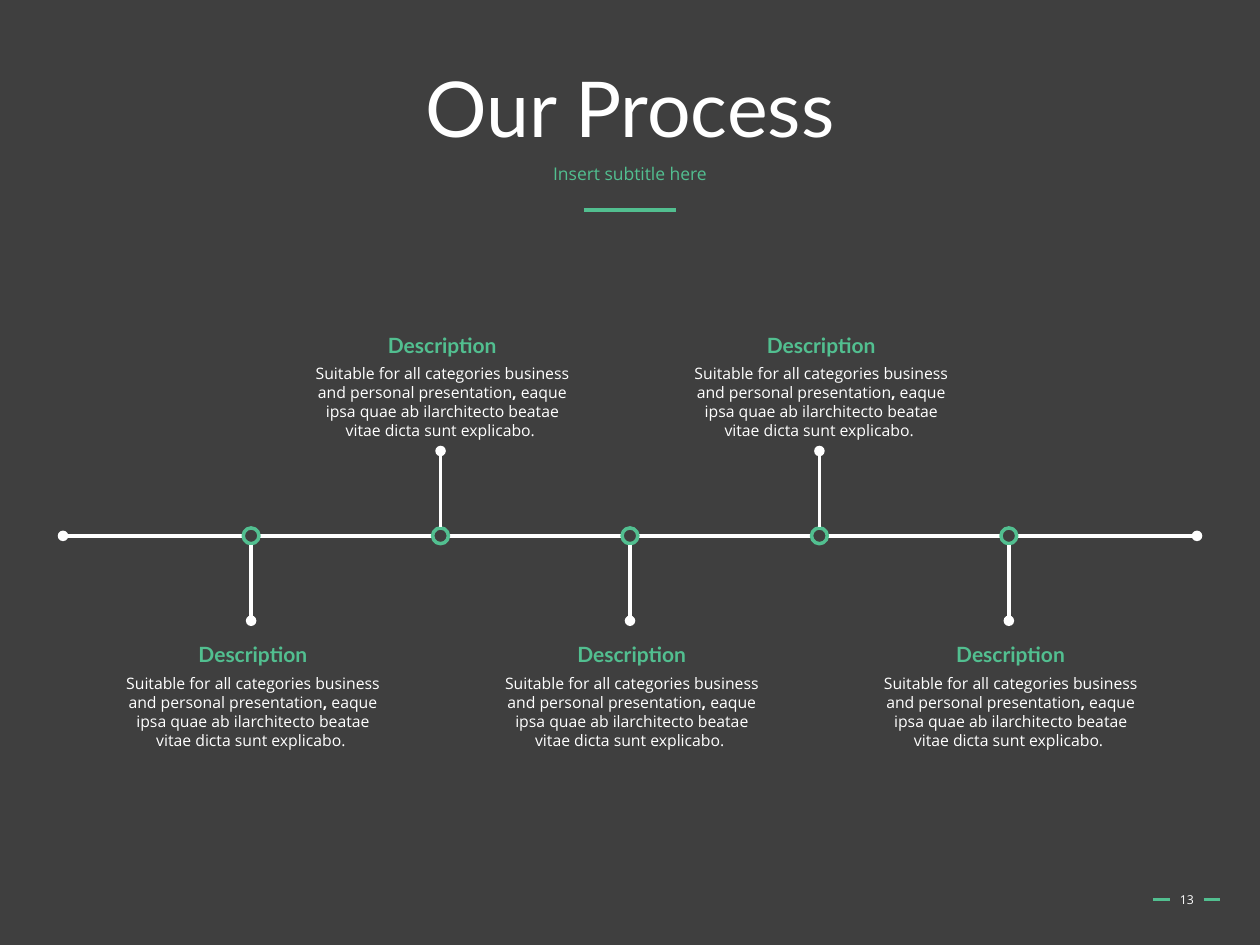
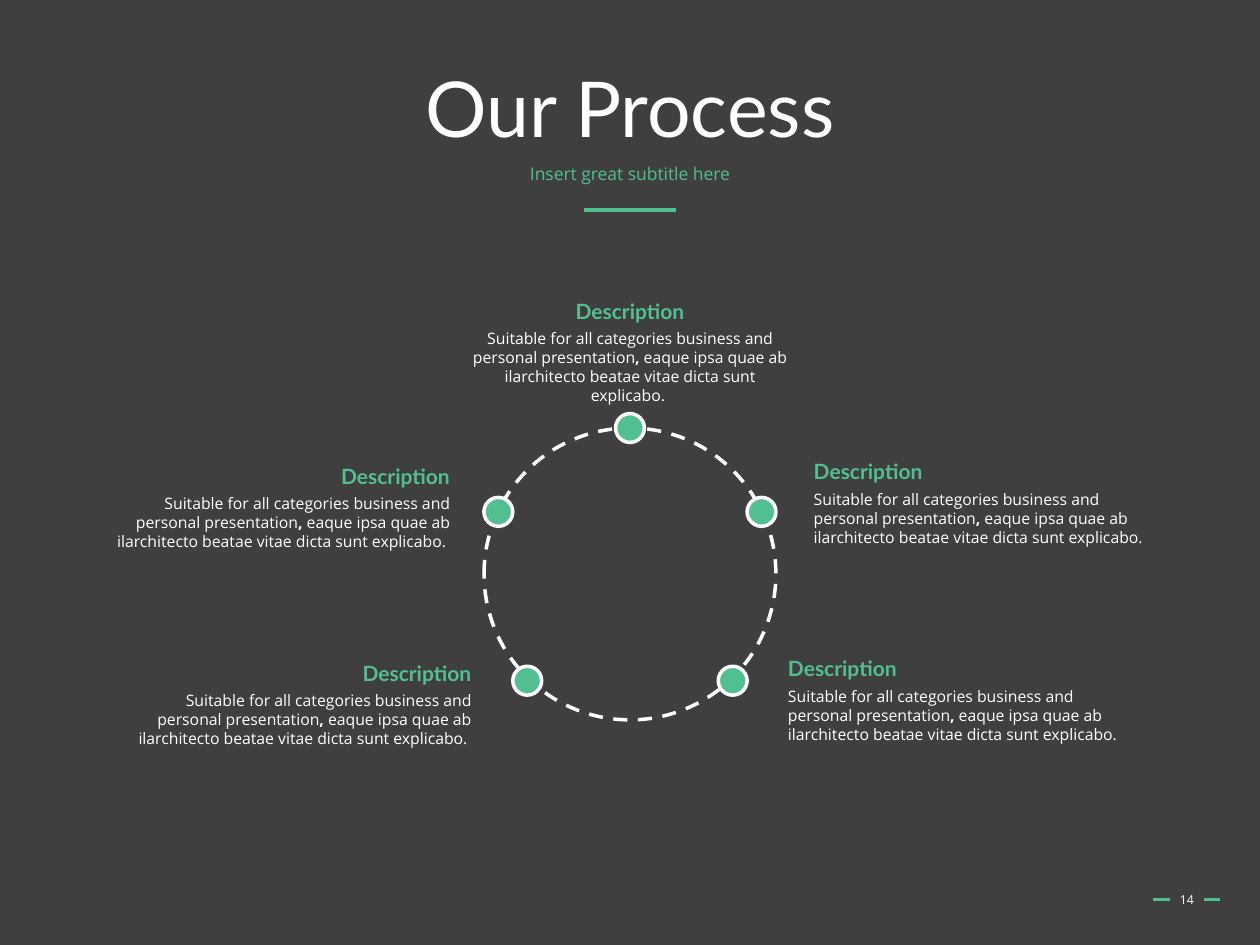
from lxml.etree import SubElement
from pptx import Presentation
from pptx.dml.color import RGBColor
from pptx.enum.dml import MSO_LINE
from pptx.enum.shapes import MSO_CONNECTOR, MSO_SHAPE
from pptx.enum.text import MSO_ANCHOR as Anchor, PP_ALIGN as Align
from pptx.oxml.ns import qn
from pptx.util import Pt

DARK = RGBColor(0x3F, 0x3F, 0x3F)
GREEN = RGBColor(0x52, 0xBF, 0x90)
WHITE = RGBColor(0xFF, 0xFF, 0xFF)
HEADING_FONT = "Lato"
BODY_FONT = "Open Sans"

# Each part of the description with its bold setting
DESCRIPTION = (
    ("Suitable for all categories business and personal presentation", False),
    (",", True),
    (" eaque ipsa quae ab ilarchitecto beatae vitae dicta sunt explicabo. ", False),
)


class Deck:
    """Holds the shared style and the slide being built."""

    def __init__(self):
        self.presentation = Presentation()
        self.presentation.slide_width = Pt(720)
        self.presentation.slide_height = Pt(540)
        self.slide = None

    def new_slide(self, title, subtitle, number):
        self.slide = self.presentation.slides.add_slide(self.presentation.slide_layouts[6])
        fill = self.slide.background.fill
        fill.solid()
        fill.fore_color.rgb = DARK

        # Accent rules under the subtitle and beside the page number
        for start, end, y in ((333.5, 386.5, 120), (658.8, 668.3, 513.8), (687.8, 697.3, 513.8)):
            self.line(start, y, end, y, GREEN, 1.75)

        # Title, subtitle and page number
        self.text(49.5, 28.8, 621, 70.6, [(title, False)], 44, HEADING_FONT, WHITE,
                  anchor=Anchor.MIDDLE, spacing=0.9)
        self.text(49.5, 90.7, 621, 28.8, [(subtitle, False)], 10, BODY_FONT, GREEN, spacing=0.9)
        self.text(662.4, 499.5, 31.7, 28.8, [(number, False)], 7, BODY_FONT, WHITE,
                  anchor=Anchor.MIDDLE)

    def text(self, left, top, width, height, parts, size, font, color,
             align=Align.CENTER, anchor=Anchor.TOP, spacing=None):
        box = self.slide.shapes.add_textbox(Pt(left), Pt(top), Pt(width), Pt(height))
        frame = box.text_frame
        frame.word_wrap = True
        frame.vertical_anchor = anchor
        paragraph = frame.paragraphs[0]
        paragraph.alignment = align
        paragraph.line_spacing = spacing
        for words, bold in parts:
            run = paragraph.add_run()
            run.text = words
            run.font.size = Pt(size)
            run.font.name = font
            run.font.bold = bold
            run.font.color.rgb = color

    def description(self, left, width, heading_top, body_top, lines, align=Align.CENTER):
        self.text(left, body_top, width, 7.2 + 10.8 * lines, DESCRIPTION, 9, BODY_FONT, WHITE,
                  align, spacing=Pt(10.8))
        self.text(left, heading_top, width, 21.6, [("Description", True)], 12, HEADING_FONT,
                  GREEN, align)

    def line(self, x1, y1, x2, y2, color, weight, ovals=()):
        connector = self.slide.shapes.add_connector(
            MSO_CONNECTOR.STRAIGHT, Pt(x1), Pt(y1), Pt(x2), Pt(y2))
        connector.line.color.rgb = color
        connector.line.width = Pt(weight)
        properties = connector.element.spPr
        for end in ovals:
            SubElement(properties.find(qn("a:ln")), qn(f"a:{end}"), type="oval")
        SubElement(properties, qn("a:effectLst"))

    def circle(self, x, y, diameter, outline, fill=None, dashed=False):
        shape = self.slide.shapes.add_shape(
            MSO_SHAPE.OVAL, Pt(x - diameter / 2), Pt(y - diameter / 2), Pt(diameter), Pt(diameter))
        shape.shadow.inherit = False
        if fill is None:
            shape.fill.background()
        else:
            shape.fill.solid()
            shape.fill.fore_color.rgb = fill
        shape.line.color.rgb = outline
        shape.line.width = Pt(2)
        if dashed:
            shape.line.dash_style = MSO_LINE.DASH


def build_timeline(deck):
    deck.new_slide("Our Process", "Insert subtitle here", "13")
    axis_y, step, text_width = 306.2, 108.25, 164
    deck.line(36, axis_y, 684, axis_y, WHITE, 2, ("headEnd", "tailEnd"))

    # Steps alternate below and above the axis
    for index in range(5):
        x = 360 + step * (index - 2)
        below = index % 2 == 0
        side = 1 if below else -1
        deck.circle(x, axis_y, 9, GREEN, DARK)
        deck.line(x, axis_y + 5 * side, x, axis_y + 48.5 * side, WHITE, 2, ("tailEnd",))
        heading_top, body_top = (362.9, 381.6) if below else (186.5, 204.5)
        deck.description(x + 1 - text_width / 2, text_width, heading_top, body_top, 4)


def build_cycle(deck):
    deck.new_slide("Our Process", "Insert great subtitle here", "14")
    center_x, center_y = 360, 328
    deck.circle(center_x, center_y, 166.8, WHITE, dashed=True)

    # Stops on the ring, mirrored left and right
    for dx, dy in ((0, -83.4), (-75.2, -35.5), (75.2, -35.5), (-58.7, 61), (58.7, 61)):
        deck.circle(center_x + dx, center_y + dy, 16.5, WHITE, GREEN)

    # Descriptions around the ring
    deck.description(260.6, 198.8, 167, 184.4, 4)
    for left, top in ((457.9, 258.5), (443.2, 370.9)):
        deck.description(left, 204, top, top + 18, 3, Align.LEFT)
    for left, top in ((59.2, 261.4), (71.4, 373.7)):
        deck.description(left, 205, top, top + 17.4, 3, Align.RIGHT)


def main():
    deck = Deck()
    build_timeline(deck)
    build_cycle(deck)
    deck.presentation.save("out.pptx")


if __name__ == "__main__":
    main()
